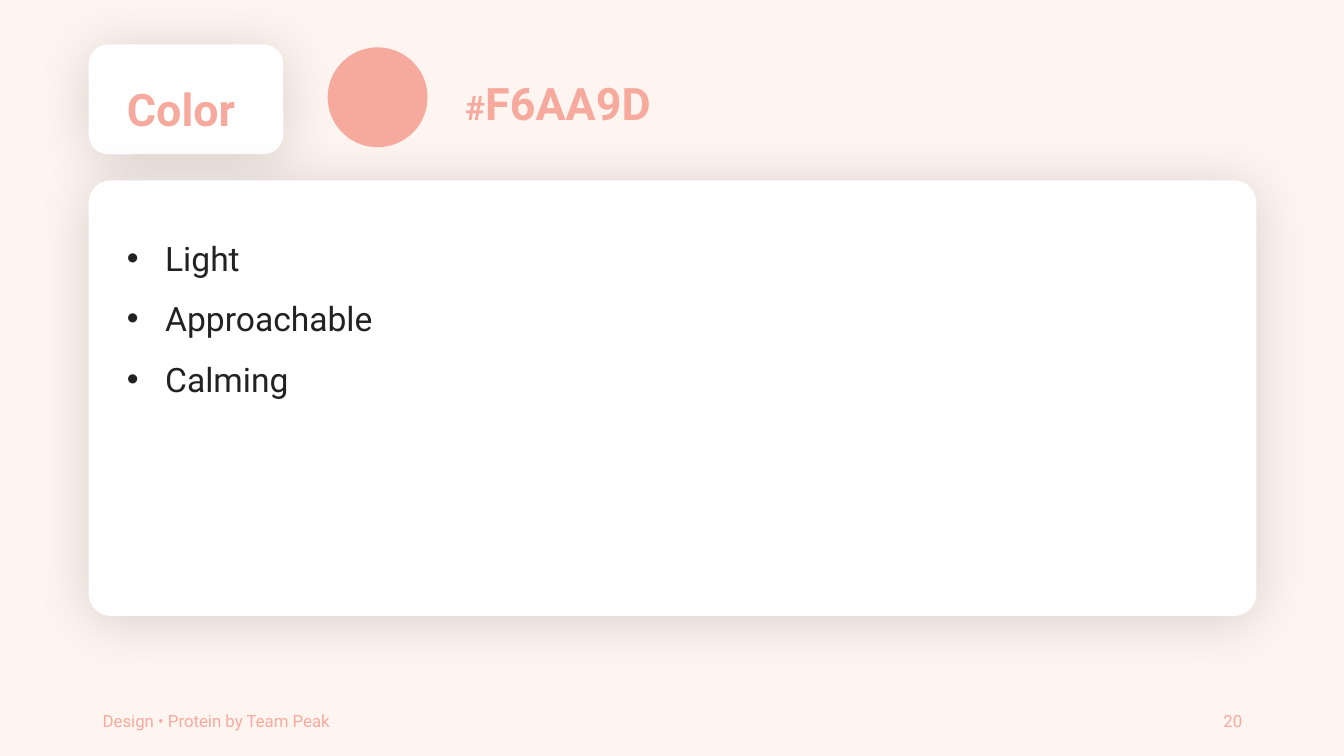
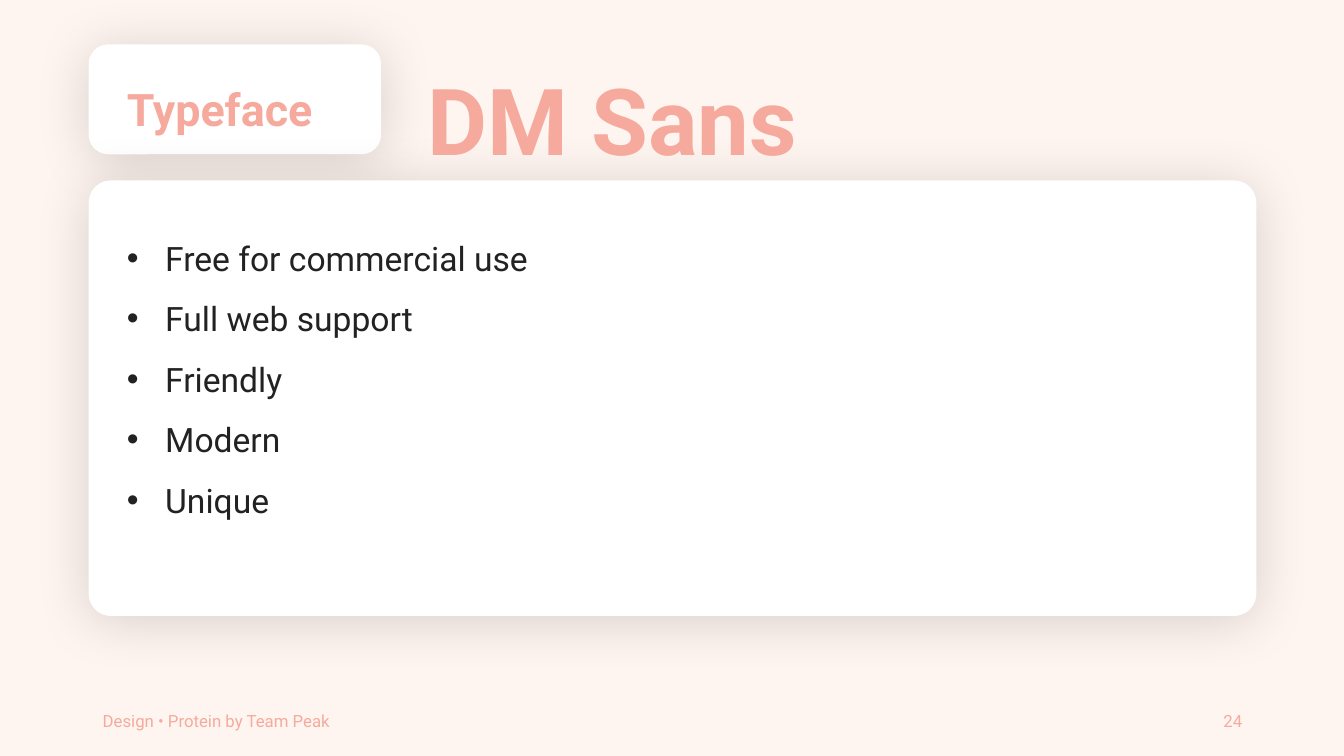
from lxml import etree
from pptx import Presentation
from pptx.dml.color import RGBColor
from pptx.enum.shapes import MSO_SHAPE
from pptx.enum.text import MSO_ANCHOR, MSO_AUTO_SIZE, PP_ALIGN
from pptx.oxml.ns import qn
from pptx.util import Inches, Pt

ROUND, OVAL = MSO_SHAPE.ROUNDED_RECTANGLE, MSO_SHAPE.OVAL
LEFT, MID, RIGHT = PP_ALIGN.LEFT, PP_ALIGN.CENTER, PP_ALIGN.RIGHT
TOP, CENTER = MSO_ANCHOR.TOP, MSO_ANCHOR.MIDDLE
GROW = MSO_AUTO_SIZE.SHAPE_TO_FIT_TEXT
CORAL = RGBColor(0xF6, 0xAA, 0x9D)
CREAM = RGBColor(0xFE, 0xF5, 0xF0)
WHITE = RGBColor(0xFF, 0xFF, 0xFF)
INK = RGBColor(0x22, 0x22, 0x22)
FONT = "Roboto"
EDGE, INDENT = 0.88, 0.28
FOOTER = "Design • Protein by Team Peak"


def add_form(slide, kind, box, color):
    """Add a plain filled shape without line or shadow."""
    form = slide.shapes.add_shape(kind, *map(Inches, box))
    form.fill.solid()
    form.fill.fore_color.rgb = color
    form.line.fill.background()
    form.shadow.inherit = False
    return form


def add_card(slide, box, curve):
    """Add a white rounded card with a soft shadow."""
    card = add_form(slide, ROUND, box, WHITE)
    card.adjustments[0] = curve
    effects = card._element.spPr.find(qn("a:effectLst"))
    shade = etree.SubElement(effects, qn("a:outerShdw"), blurRad=str(Pt(40)),
                             dist=str(Pt(4)), dir="5400000", algn="t", rotWithShape="0")
    black = etree.SubElement(shade, qn("a:srgbClr"), val="000000")
    etree.SubElement(black, qn("a:alpha"), val="15000")


def add_bullet(para):
    """Give a paragraph a hanging bullet."""
    props = para._p.get_or_add_pPr()
    props.set("marL", str(Inches(0.38)))
    props.set("indent", str(Inches(-0.38)))
    etree.SubElement(props, qn("a:buFont"), typeface="Arial")
    etree.SubElement(props, qn("a:buChar"), char="•")


def add_text(slide, box, lines, color=CORAL, bold=False, align=LEFT,
             anchor=TOP, wrap=True, space=None, bullet=False):
    """Add a text box whose lines are lists of (text, size) runs."""
    shape = slide.shapes.add_textbox(*map(Inches, box))
    frame = shape.text_frame
    frame.word_wrap = wrap
    frame.vertical_anchor = anchor
    if space:
        frame.auto_size = GROW
    for num, line in enumerate(lines):
        para = frame.add_paragraph() if num else frame.paragraphs[0]
        if bullet:
            add_bullet(para)
        para.alignment = align
        para.line_spacing = space
        for text, size in line:
            run = para.add_run()
            run.text = text
            run.font.name = FONT
            run.font.size = Pt(size)
            run.font.bold = bold
            run.font.color.rgb = color


def add_head(slide, box, runs, align=MID):
    """Add a bold coral heading on one line."""
    add_text(slide, box, [runs], bold=True, align=align, wrap=False, space=1.5)


def add_title(slide, box, title, width):
    """Add the title card with its heading."""
    left, top = box[:2]
    add_card(slide, box, 0.177)
    add_head(slide, (left + INDENT, top + 0.05, width, 0.84), [(title, 32)], LEFT)


def add_body(slide, box, points, width):
    """Add the main card with its bullet list."""
    left, top = box[:2]
    add_card(slide, box, 0.051)
    height = 0.1 + 0.6 * len(points)
    add_text(slide, (left + INDENT, top + 0.32, width, height),
             [[(point, 24)] for point in points], INK, space=1.5, bullet=True)


def add_footer(slide, box, number):
    """Add the footer text and the page number at the ends of a strip."""
    left, top, width, height = box
    add_text(slide, (left, top, 4.5, height), [[(FOOTER, 12)]], anchor=CENTER)
    add_text(slide, (left + width - 3, top, 3, height), [[(str(number), 12)]],
             align=RIGHT, anchor=CENTER)


def add_page(deck, number, title, card, head, points, width):
    """Add a slide with title card, main card and footer."""
    slide = deck.slides.add_slide(deck.slide_layouts[6])
    slide.background.fill.solid()
    slide.background.fill.fore_color.rgb = CREAM
    add_title(slide, (EDGE, 0.44, card, 1.09), title, head)
    add_body(slide, (EDGE, 1.79, 11.58, 4.32), points, width)
    add_footer(slide, (0.92, 6.95, 11.5, 0.4), number)
    return slide


def add_swatch(slide, box, code):
    """Add a colour disc with its hex code beside it."""
    left, top, size = box
    add_head(slide, (left + 1.16, top - 0.03, 2.25, 0.84), [("#", 24), (code, 32)])
    add_form(slide, OVAL, (left, top, size, size), CORAL)


def main():
    """Build and save the deck."""
    deck = Presentation()
    deck.slide_width, deck.slide_height = Inches(13.33), Inches(7.5)
    color = add_page(deck, 20, "Color", 1.93, 1.37,
                     ["Light", "Approachable", "Calming"], 3.61)
    add_swatch(color, (3.25, 0.47, 0.99), "F6AA9D")
    face = add_page(deck, 24, "Typeface", 2.9, 2.25,
                    ["Free for commercial use", "Full web support", "Friendly",
                     "Modern", "Unique"], 4.59)
    add_head(face, (4.06, 0.03, 4.03, 1.62), [("DM Sans", 66)])
    deck.save("out.pptx")


if __name__ == "__main__":
    main()
